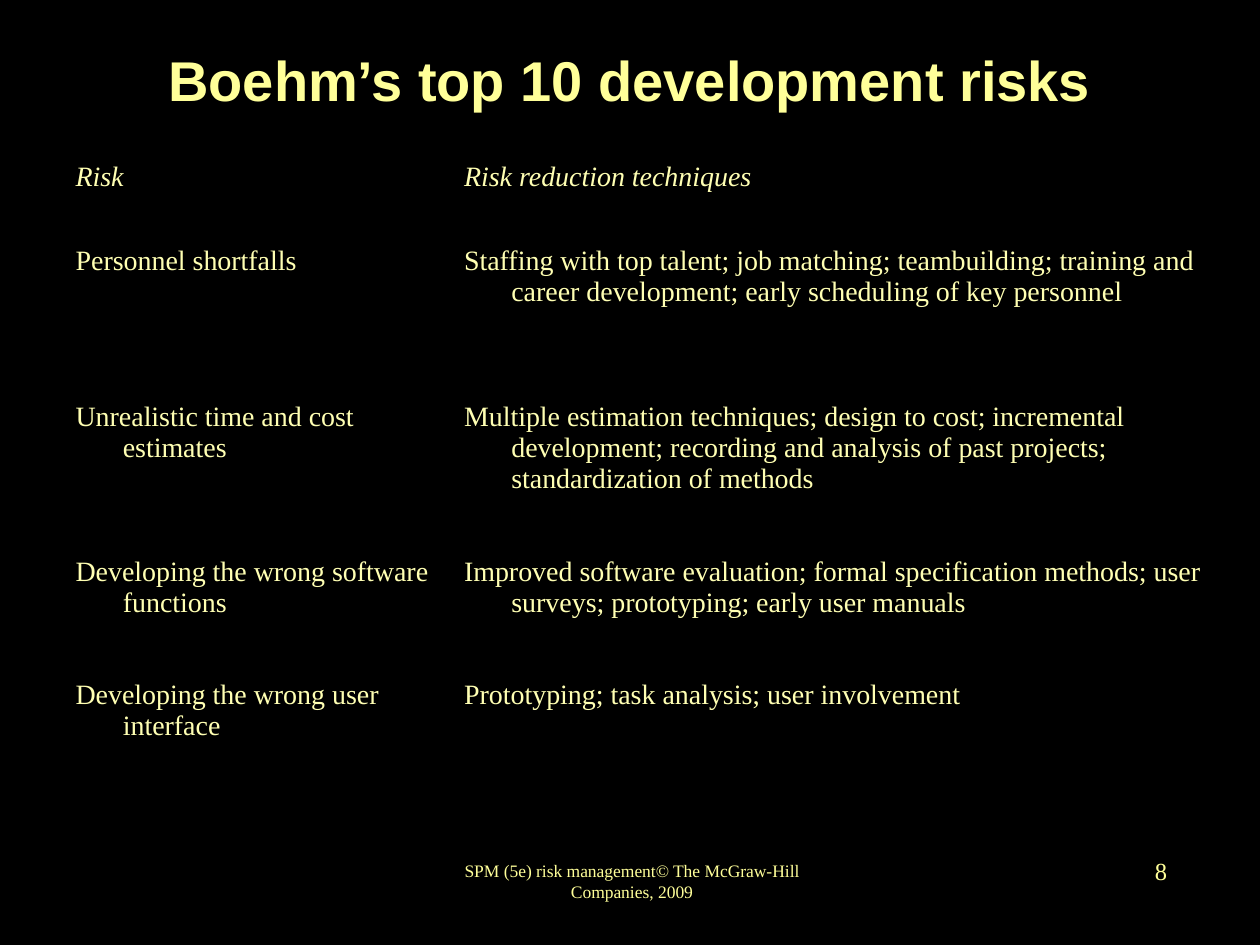
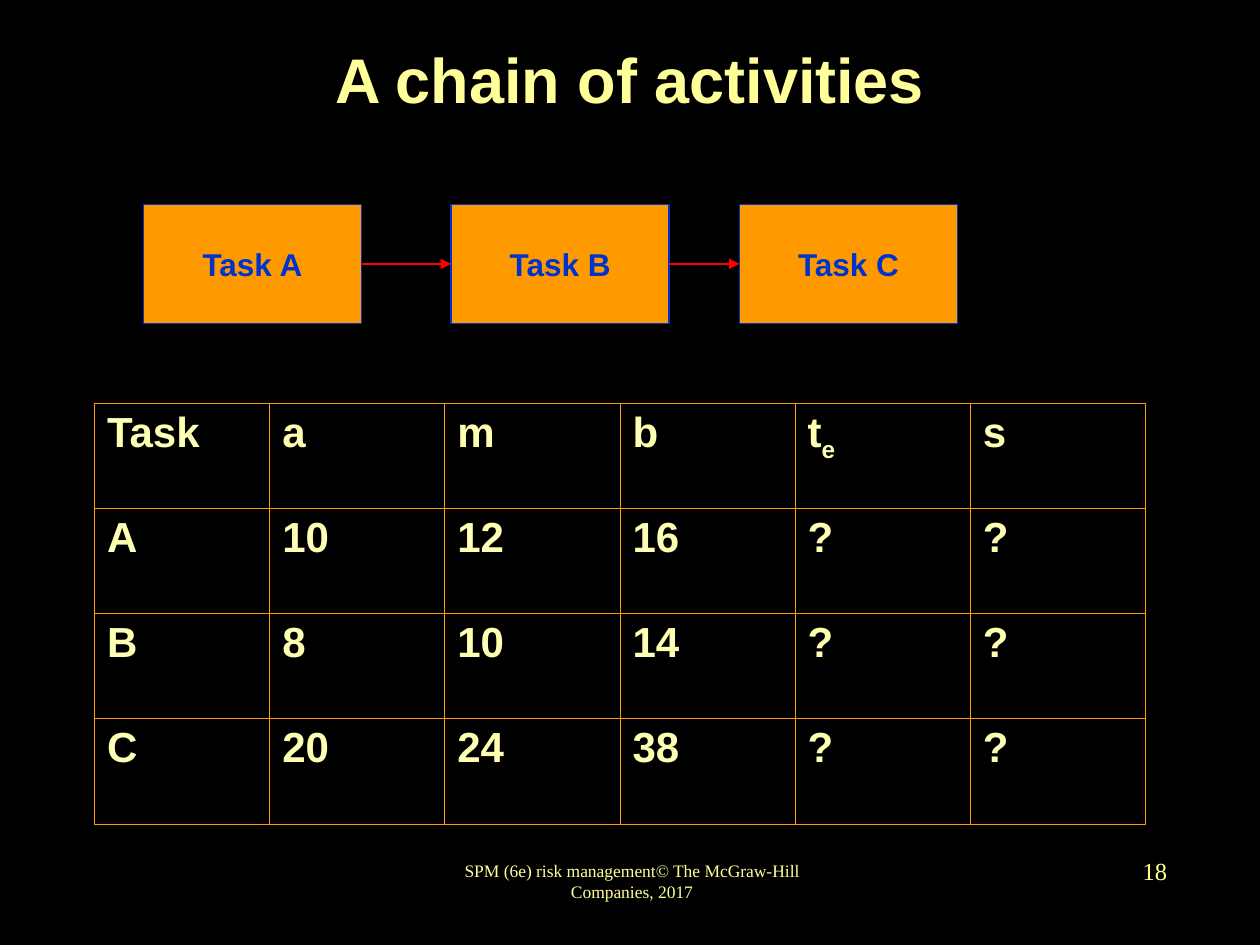
from itertools import pairwise

from lxml.etree import SubElement
from pptx import Presentation
from pptx.dml.color import RGBColor
from pptx.enum.shapes import MSO_CONNECTOR, MSO_SHAPE
from pptx.enum.text import MSO_ANCHOR, PP_ALIGN
from pptx.oxml.ns import qn
from pptx.util import Pt

# Content
RISKS_TITLE = "Boehm’s top 10 development risks"
RISKS_FOOTER = "SPM (5e) risk management© The McGraw-Hill Companies, 2009"
RISKS = [
    ("Risk", "Risk reduction techniques"),
    ("Personnel shortfalls",
     "Staffing with top talent; job matching; teambuilding; training and "
     "career development; early scheduling of key personnel"),
    ("Unrealistic time and cost estimates",
     "Multiple estimation techniques; design to cost; incremental development; "
     "recording and analysis of past projects; standardization of methods"),
    ("Developing the wrong software functions",
     "Improved software evaluation; formal specification methods; user surveys; "
     "prototyping; early user manuals"),
    ("Developing the wrong user interface",
     "Prototyping; task analysis; user involvement"),
]
CHAIN_TITLE = "A chain of activities"
CHAIN_FOOTER = "SPM (6e) risk management© The McGraw-Hill Companies, 2017"
TASKS = [("Task A", 82), ("Task B", 257.8), ("Task C", 422.6)]  # label, left
ESTIMATES = [
    ("Task", "a", "m", "b", ("t", "e"), "s"),  # a pair is base and subscript
    ("A", "10", "12", "16", "?", "?"),
    ("B", "8", "10", "14", "?", "?"),
    ("C", "20", "24", "38", "?", "?"),
]

# Shared look
BLACK = RGBColor(0x00, 0x00, 0x00)
YELLOW = RGBColor(0xFF, 0xFF, 0x99)
CREAM = RGBColor(0xFF, 0xFF, 0xB3)
ORANGE = RGBColor(0xFF, 0x99, 0x00)
BLUE = RGBColor(0x00, 0x33, 0xCC)
RED = RGBColor(0xFF, 0x00, 0x00)
SANS, SERIF = "Arial", "Times New Roman"
NO_TABLE_STYLE = "{2D5ABB26-0587-4C30-8999-92F81FD0307C}"


def style(p, name, size, color, bold=False, italic=False, align=PP_ALIGN.LEFT):
    p.alignment = align
    font = p.font
    font.name, font.size, font.bold, font.italic = name, Pt(size), bold, italic
    font.color.rgb = color


def add_text(s, text, box, *look, wrap=True, **extra):
    tf = s.shapes.add_textbox(*map(Pt, box)).text_frame
    tf.word_wrap, tf.vertical_anchor = wrap, MSO_ANCHOR.MIDDLE
    p = tf.paragraphs[0]
    p.text = text
    style(p, *look, **extra)


def new_slide(prs, title, title_size, footer, number):
    s = prs.slides.add_slide(prs.slide_layouts[6])
    s.background.fill.solid()
    s.background.fill.fore_color.rgb = BLACK
    add_text(s, footer, (247, 485.3, 228.2, 36), SERIF, 10, YELLOW,
             wrap=False, align=PP_ALIGN.CENTER)
    add_text(s, str(number), (524, 479.5, 150, 36), SERIF, 14, YELLOW,
             align=PP_ALIGN.RIGHT)
    add_text(s, title, (54, 0, 612, 90), SANS, title_size, YELLOW,
             bold=True, align=PP_ALIGN.CENTER)
    return s


def add_grid(s, left, top, widths, heights, border):
    """Add an unstyled table with thin borders of one colour."""
    table = s.shapes.add_table(len(heights), len(widths), Pt(left), Pt(top),
                               Pt(sum(widths)), Pt(sum(heights))).table
    table.first_row = table.horz_banding = False
    table._tbl.tblPr.find(qn("a:tableStyleId")).text = NO_TABLE_STYLE
    for column, width in zip(table.columns, widths):
        column.width = Pt(width)
    for row, height in zip(table.rows, heights):
        row.height = Pt(height)
    for cell in table.iter_cells():
        tcPr = cell._tc.get_or_add_tcPr()
        for side in ("a:lnL", "a:lnR", "a:lnT", "a:lnB"):
            ln = SubElement(tcPr, qn(side), w=str(Pt(0.45)))
            SubElement(SubElement(ln, qn("a:solidFill")), qn("a:srgbClr"), val=str(border))
        cell.fill.background()
    return table


def add_arrow(s, start, end):
    arrow = s.shapes.add_connector(MSO_CONNECTOR.STRAIGHT, 0, 0, 0, 0)
    arrow.begin_connect(start, 3)
    arrow.end_connect(end, 1)
    arrow.line.color.rgb = RED
    arrow.line.width = Pt(0.75)
    SubElement(arrow.line._get_or_add_ln(), qn("a:tailEnd"), type="triangle")
    SubElement(arrow._element.spPr, qn("a:effectLst"))


def add_task(s, label, left):
    sp = s.shapes.add_shape(MSO_SHAPE.RECTANGLE, Pt(left), Pt(116.8), Pt(124.6), Pt(68))
    sp.shadow.inherit = False
    sp.fill.solid()
    sp.fill.fore_color.rgb = ORANGE
    sp.line.color.rgb = BLUE
    sp.line.width = Pt(0.75)
    p = sp.text_frame.paragraphs[0]
    p.text = label
    style(p, SANS, 18, BLUE, bold=True, align=PP_ALIGN.CENTER)
    return sp


def build_risks(prs):
    s = new_slide(prs, RISKS_TITLE, 32, RISKS_FOOTER, 8)
    table = add_grid(s, 36, 88.6, (222, 442), (48, 89, 89, 70, 50), BLACK)
    for i, row in enumerate(RISKS):
        for j, text in enumerate(row):
            p = table.cell(i, j).text_frame.paragraphs[0]
            p.text = text
            pPr = p._p.get_or_add_pPr()  # hanging indent
            pPr.set("marL", str(Pt(27)))
            pPr.set("indent", str(-Pt(27)))
            style(p, SERIF, 16, CREAM, italic=i == 0,
                  align=PP_ALIGN.LEFT if i else PP_ALIGN.JUSTIFY)


def build_chain(prs):
    s = new_slide(prs, CHAIN_TITLE, 36, CHAIN_FOOTER, 18)

    # Task chain
    boxes = [add_task(s, label, left) for label, left in TASKS]
    for start, end in pairwise(boxes):
        add_arrow(s, start, end)

    # Estimates
    table = add_grid(s, 54, 230.4, [100.1] * 6, [60.1] * 4, ORANGE)
    for i, row in enumerate(ESTIMATES):
        for j, value in enumerate(row):
            base, *subscripts = value if isinstance(value, tuple) else (value,)
            p = table.cell(i, j).text_frame.paragraphs[0]
            p.text = base
            for subscript in subscripts:
                r = p.add_run()
                r.text = subscript
                r._r.get_or_add_rPr().set("baseline", "-25000")
            style(p, SANS, 24, CREAM, bold=True)


def main():
    prs = Presentation()
    prs.slide_width, prs.slide_height = Pt(720), Pt(540)
    build_risks(prs)
    build_chain(prs)
    prs.save("out.pptx")


if __name__ == "__main__":
    main()
